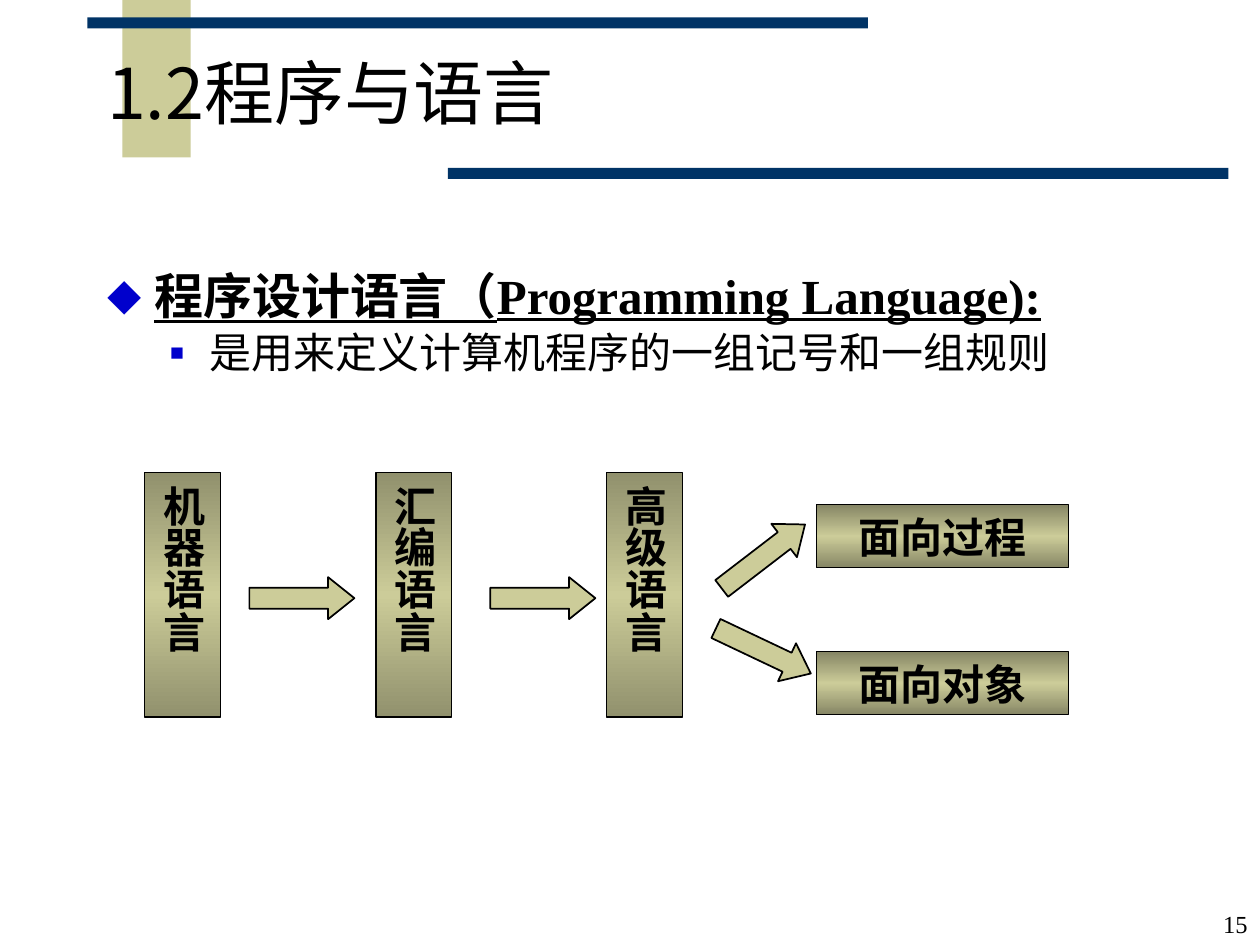
"""Build the slide on programs and programming languages."""
import copy

import pptx
import pptx.dml.color
import pptx.enum.shapes
import pptx.enum.text
import pptx.oxml.ns
import pptx.util
from lxml import etree

Pt = pptx.util.Pt
RGBColor = pptx.dml.color.RGBColor
Shape = pptx.enum.shapes.MSO_SHAPE
Align = pptx.enum.text.PP_ALIGN
Anchor = pptx.enum.text.MSO_ANCHOR
qn = pptx.oxml.ns.qn

BLACK = RGBColor(0, 0, 0)
NAVY = RGBColor(0x00, 0x33, 0x66)
SAND = RGBColor(0xCC, 0xCC, 0x99)
OLIVE = RGBColor(0x91, 0x91, 0x6D)
DARK_OLIVE = RGBColor(0x86, 0x86, 0x65)
BULLET_BLUE = RGBColor(0x00, 0x00, 0xCC)
SERIF = "Times New Roman"
SANS = "Noto Sans CJK SC"

TITLE = "1.2程序与语言"
BODY = [
    dict(text="程序设计语言（Programming Language):", level=0, size=28, strong=True,
         before=0, margin=27, indent=-27, bullet="⬥", scale=100),
    dict(text="是用来定义计算机程序的一组记号和一组规则", level=1, size=24, strong=False,
         before=6, margin=58.5, indent=-22.5, bullet="■", scale=55),
]
STAGES = ["机器语言", "汇编语言", "高级语言"]
STYLES = ["面向过程", "面向对象"]
PAGE_NUMBER = "15"

BANDS = [(70, 0, 39, 90, SAND), (50, 10, 446, 6.25, NAVY), (256, 96, 446, 6.25, NAVY)]
ARROWS = [(142.5, 329.8, 0), (280.2, 329.8, 0), (406.2, 360, 25.4), (406.2, 306, 322.5)]
STAGE_LEFT, STAGE_STEP, STAGE_TOP = 82.8, 132, 270
STYLE_LEFT, STYLE_TOP, STYLE_STEP = 466.5, 288.5, 84


def place(shape, left, top, width, height):
    shape.left, shape.top, shape.width, shape.height = map(Pt, (left, top, width, height))


def style_text(para, size, name, bold=False):
    para.font.size = Pt(size)
    para.font.name = name
    para.font.bold = bold
    para.font.color.rgb = BLACK


def add_bullet(para, item):
    properties = para._p.get_or_add_pPr()
    properties.set("marL", str(Pt(item["margin"])))
    properties.set("indent", str(Pt(item["indent"])))
    color = etree.SubElement(properties, qn("a:buClr"))
    etree.SubElement(color, qn("a:srgbClr"), val=str(BULLET_BLUE))
    etree.SubElement(properties, qn("a:buSzPct"), val=str(item["scale"] * 1000))
    etree.SubElement(properties, qn("a:buChar"), char=item["bullet"])


def add_solid(page, kind, bounds, color, line_width=None):
    shape = page.shapes.add_shape(kind, *map(Pt, bounds))
    shape.shadow.inherit = False
    shape.fill.solid()
    shape.fill.fore_color.rgb = color
    if line_width:
        shape.line.color.rgb = BLACK
        shape.line.width = Pt(line_width)
    else:
        shape.line.fill.background()
    return shape


def add_label_box(page, text, bounds, edge, vertical=False):
    box = add_solid(page, Shape.RECTANGLE, bounds, SAND, 0.75)
    box.fill.gradient()
    box.fill.gradient_angle = 90
    stops = box.fill.gradient_stops
    for stop, color, position in zip(stops, (edge, SAND), (0, 0.5)):
        stop.color.rgb = color
        stop.position = position
    stop_list = box._element.spPr.find(".//" + qn("a:gsLst"))
    last = copy.deepcopy(stop_list[0])
    last.set("pos", "100000")
    stop_list.append(last)
    frame = box.text_frame
    frame.word_wrap = True
    frame.vertical_anchor = Anchor.MIDDLE
    across, down = (3.6, 7.2) if vertical else (7.2, 3.6)
    frame.margin_left = frame.margin_right = Pt(across)
    frame.margin_top = frame.margin_bottom = Pt(down)
    if vertical:
        frame._txBody.bodyPr.set("vert", "eaVert")
    para = frame.paragraphs[0]
    para.text = text
    para.alignment = Align.CENTER
    style_text(para, 24, SERIF, True)


def add_bands(page):
    for index, (left, top, width, height, color) in enumerate(BANDS):
        band = add_solid(page, Shape.RECTANGLE, (left, top, width, height), color)
        page.shapes._spTree.insert(2 + index, band._element)


def fill_title(page):
    title = page.shapes.title
    place(title, 54, 20, 581, 72)
    frame = title.text_frame
    frame.auto_size = pptx.enum.text.MSO_AUTO_SIZE.NONE
    frame.vertical_anchor = Anchor.MIDDLE
    para = frame.paragraphs[0]
    para.text = TITLE
    para.alignment = Align.LEFT
    para.line_spacing = 0.85
    style_text(para, 40, SANS)


def fill_body(page):
    body = page.placeholders[1]
    place(body, 54, 153, 626, 100)
    frame = body.text_frame
    frame.auto_size = pptx.enum.text.MSO_AUTO_SIZE.NONE
    for index, item in enumerate(BODY):
        para = frame.add_paragraph() if index else frame.paragraphs[0]
        para.text = item["text"]
        para.level = item["level"]
        add_bullet(para, item)
        para.space_before = Pt(item["before"])
        para.line_spacing = 0.85
        style_text(para, item["size"], SERIF, item["strong"])
        para.font.underline = item["strong"]


def add_diagram(page):
    for index, text in enumerate(STAGES):
        left = STAGE_LEFT + index * STAGE_STEP
        add_label_box(page, text, (left, STAGE_TOP, 43.2, 139.7), OLIVE, vertical=True)
    for index, text in enumerate(STYLES):
        top = STYLE_TOP + index * STYLE_STEP
        add_label_box(page, text, (STYLE_LEFT, top, 144, 36), DARK_OLIVE)
    for left, top, angle in ARROWS:
        arrow = add_solid(page, Shape.RIGHT_ARROW, (left, top, 60, 24), SAND, 1)
        arrow.adjustments[0], arrow.adjustments[1] = 0.5, 0.625
        arrow.rotation = angle


def add_page_number(page):
    box = page.shapes.add_textbox(Pt(477.5), Pt(504), Pt(242.5), Pt(36))
    frame = box.text_frame
    frame.word_wrap = True
    frame.vertical_anchor = Anchor.BOTTOM
    para = frame.paragraphs[0]
    para.text = PAGE_NUMBER
    para.alignment = Align.RIGHT
    style_text(para, 14, SERIF)


def main():
    deck = pptx.Presentation()
    deck.slide_width, deck.slide_height = Pt(720), Pt(540)
    page = deck.slides.add_slide(deck.slide_layouts[1])
    add_bands(page)
    fill_title(page)
    fill_body(page)
    add_diagram(page)
    add_page_number(page)
    deck.save("out.pptx")


if __name__ == "__main__":
    main()
